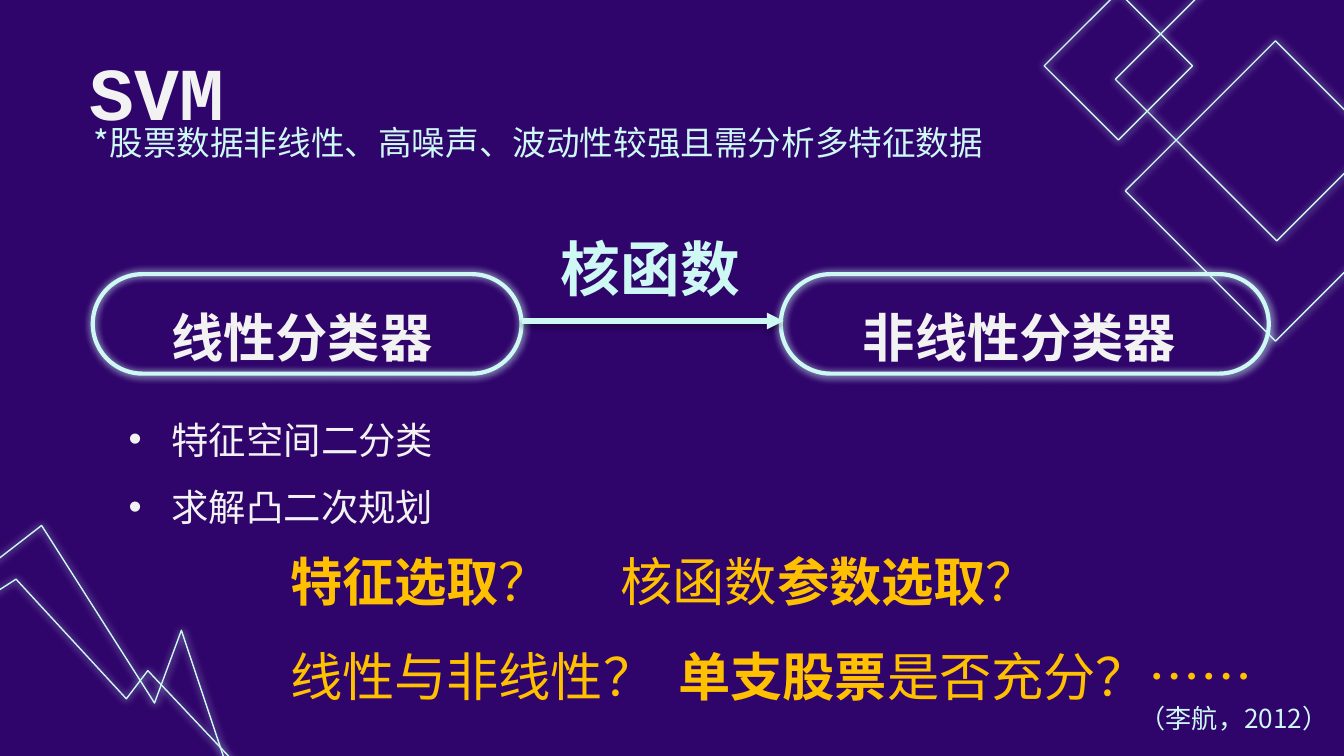
import lxml.etree
import pptx
import pptx.dml.color
import pptx.enum.shapes
import pptx.enum.text
import pptx.oxml.ns
import pptx.util

Pt = pptx.util.Pt
qn = pptx.oxml.ns.qn
SHAPE = pptx.enum.shapes.MSO_SHAPE
ALIGN = pptx.enum.text.PP_ALIGN
ANCHOR = pptx.enum.text.MSO_ANCHOR

PURPLE, MINT, WHITE, AMBER = "2F046B", "CDF8F4", "F2F2F2", "FFC000"
CJK = "Noto Sans CJK SC"
rgb = pptx.dml.color.RGBColor.from_string


def style_outline(shape, width, shadow=(MINT, 100, 4.5, 0, 0)):
    """Set line and shadow; shadow is colour, opacity %, blur, distance, degrees."""
    shape.line.color.rgb = rgb(MINT)
    shape.line.width = Pt(width)
    color, opacity, blur, distance, degrees = shadow
    effects = lxml.etree.SubElement(shape._element.spPr, qn("a:effectLst"))
    outer = lxml.etree.SubElement(
        effects, qn("a:outerShdw"), blurRad=str(Pt(blur)), dist=str(Pt(distance)),
        dir=str(degrees * 60000), algn="ctr", rotWithShape="0")
    tint = lxml.etree.SubElement(outer, qn("a:srgbClr"), val=color)
    lxml.etree.SubElement(tint, qn("a:alpha"), val=str(opacity * 1000))


def add_text(bounds, paragraphs, size, color, font=CJK, align=ALIGN.LEFT,
             anchor=ANCHOR.TOP, inset=7.2, spacing=None):
    """Add a text box; each paragraph is a list of (text, bold) runs."""
    box = slide.shapes.add_textbox(*map(Pt, bounds))
    frame = box.text_frame
    frame.word_wrap = True
    frame.vertical_anchor = anchor
    frame.margin_top = frame.margin_bottom = Pt(inset)
    for index, runs in enumerate(paragraphs):
        para = frame.paragraphs[0] if index == 0 else frame.add_paragraph()
        para.alignment = align
        if spacing:
            para.line_spacing = Pt(spacing)
        for text, bold in runs:
            span = para.add_run()
            span.text = text
            span.font.size = Pt(size)
            span.font.bold = bold
            span.font.name = font
            span.font.color.rgb = rgb(color)
            if font == CJK:
                east_asian = lxml.etree.SubElement(span._r.get_or_add_rPr(), qn("a:ea"))
                east_asian.set("typeface", font)
    return box


deck = pptx.Presentation()
deck.slide_width, deck.slide_height = Pt(720), Pt(405)
slide = deck.slides.add_slide(deck.slide_layouts[6])
slide.background.fill.solid()
slide.background.fill.fore_color.rgb = rgb(PURPLE)

# Title and classifier pills
add_text((41, -6.5, 98, 76.3), [[("SVM", True)]], 40, WHITE, "Courier New", spacing=72)
classifiers = [
    ("线性分类器", 49.7, 229.7, 49.7),
    ("非线性分类器", 418.3, 261.4, 434.2),
]
for name, left, width, text_left in classifiers:
    pill = slide.shapes.add_shape(
        SHAPE.ROUNDED_RECTANGLE, Pt(left), Pt(146.9), Pt(width), Pt(53.3))
    pill.adjustments[0] = 0.5
    pill.fill.background()
    style_outline(pill, 2.25)
    add_text((text_left, 151.7, 223.9, 39.6), [[(name, True)]], 28, WHITE,
             align=ALIGN.CENTER, anchor=ANCHOR.MIDDLE, spacing=51)

# Properties of the linear classifier
properties = add_text(
    (55.8, 212.4, 242.6, 69.8), [[("特征空间二分类", False)], [("求解凸二次规划", False)]],
    20, WHITE, anchor=ANCHOR.MIDDLE, spacing=36)
for para in properties.text_frame.paragraphs:
    settings = para._p.get_or_add_pPr()
    settings.set("marL", str(Pt(29)))
    settings.set("indent", str(Pt(-23)))
    lxml.etree.SubElement(settings, qn("a:buFont"), typeface="Arial")
    lxml.etree.SubElement(settings, qn("a:buChar"), char="•")

# Corner decorations
diamonds = slide.shapes.add_group_shape()
for left, top, side in [(622.8, -18.7, 122.4), (571, 7.2, 56.2), (626.4, 45.4, 113.8)]:
    diamond = diamonds.shapes.add_shape(
        SHAPE.RECTANGLE, Pt(left), Pt(top), Pt(side), Pt(side))
    diamond.rotation = 135
    diamond.fill.background()
    style_outline(diamond, 0.75)

zigzags = [
    [(-53.3, 349.9), (8.6, 310.3), (67.7, 374.4), (79.2, 359.3), (139.7, 423.4)],
    [(-67, 350.6), (22.3, 281.5), (82.8, 376.6), (97.2, 337.7), (126, 424.1)],
]
for points in zigzags:
    start, *rest = [(Pt(x), Pt(y)) for x, y in points]
    builder = slide.shapes.build_freeform(*start)
    builder.add_line_segments(rest, close=False)
    zigzag = builder.convert_to_shape()
    zigzag.fill.background()
    style_outline(zigzag, 0.75)

# Kernel function arrow
arrow = slide.shapes.add_connector(
    pptx.enum.shapes.MSO_CONNECTOR.STRAIGHT, Pt(279.4), Pt(172), Pt(419.8), Pt(172))
style_outline(arrow, 3, ("000000", 35, 3.1, 1.8, 90))
lxml.etree.SubElement(arrow.line._get_or_add_ln(), qn("a:tailEnd"), type="triangle")
add_text((280.8, 123.6, 135.4, 39.6), [[("核函数", True)]], 32, MINT,
         align=ALIGN.CENTER, anchor=ANCHOR.MIDDLE)

# Open questions, with the second of each line on a tab stop
questions = add_text(
    (148.3, 274, 582.5, 103.7),
    [[("特征选取", True), ("？\t核函数", False), ("参数选取", True), ("？", False)],
     [("线性与非线性？\t", False), ("单支股票", True), ("是否充分？……", False)]],
    28, AMBER, inset=3.6, spacing=50.5)
for para, stop in zip(questions.text_frame.paragraphs, (177, 208)):
    tabs = lxml.etree.SubElement(para._p.get_or_add_pPr(), qn("a:tabLst"))
    lxml.etree.SubElement(tabs, qn("a:tab"), pos=str(Pt(stop)), algn="l")

# Remark and citation
add_text((43.2, 61.9, 574.6, 28.8),
         [[("*股票数据非线性、高噪声、波动性较强且需分析多特征数据", False)]],
         18, MINT, inset=3.6)
add_text((603.4, 373, 423.4, 24.5), [[("（李航，2012）", False)]], 14, MINT, inset=3.6)

deck.save("out.pptx")
